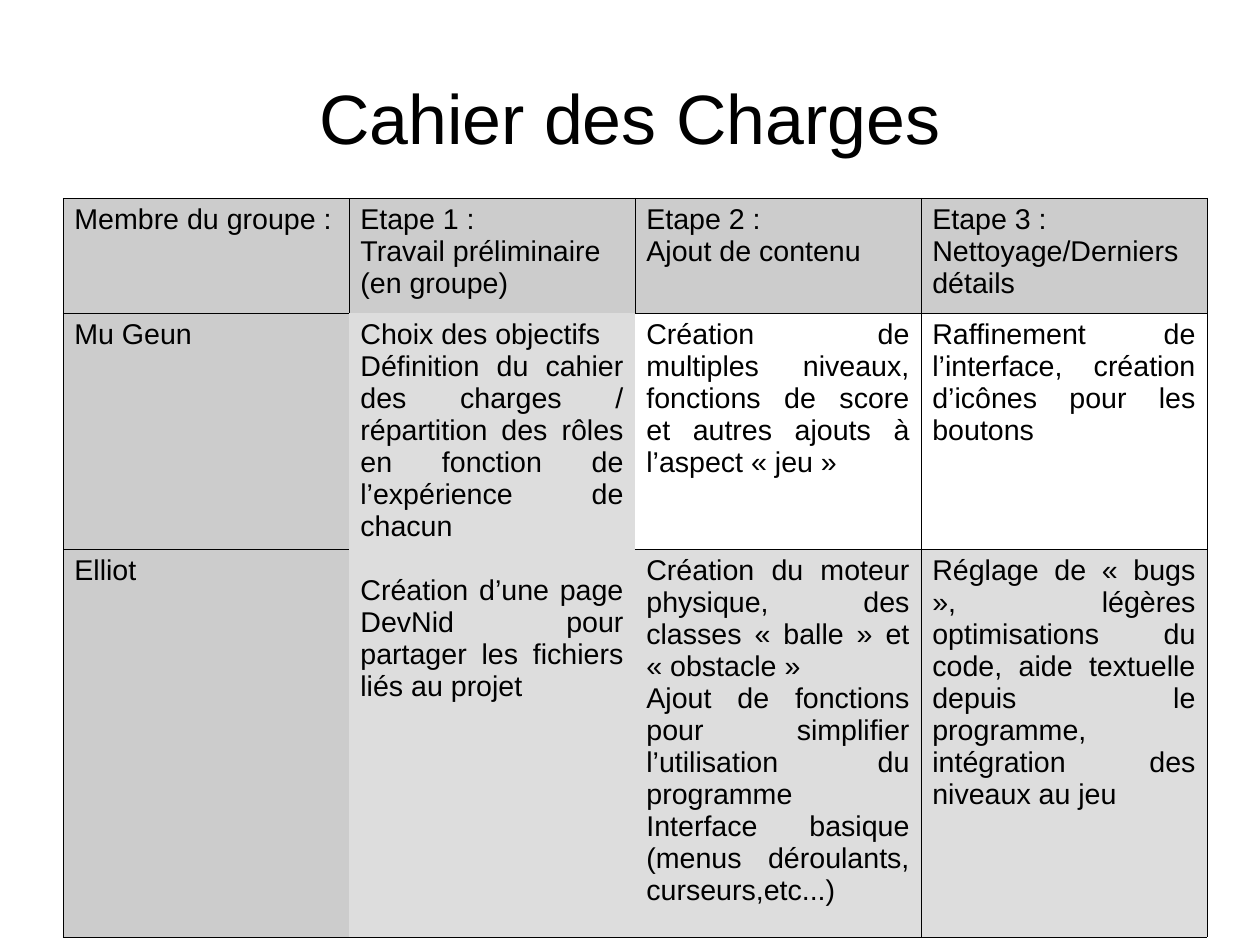
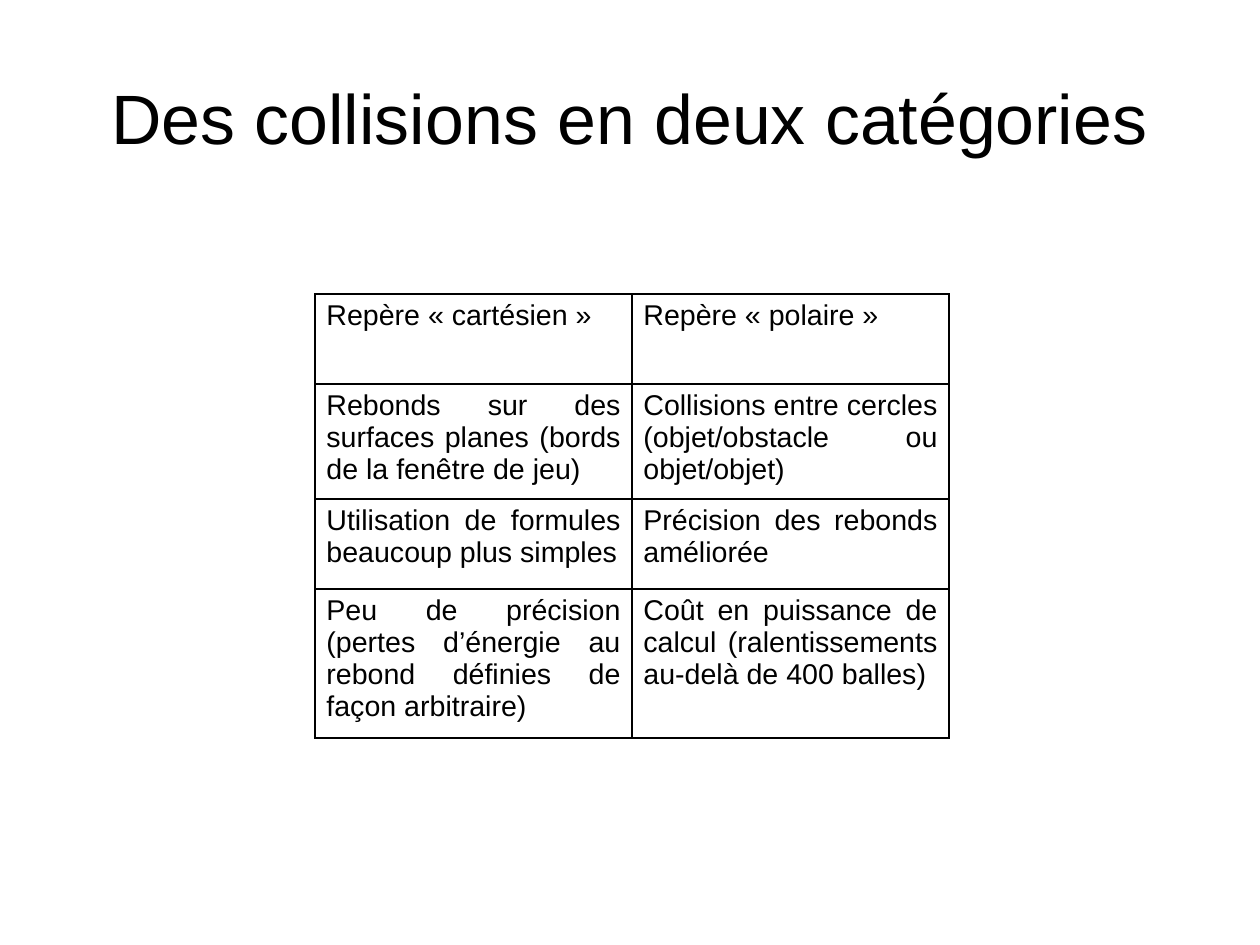
from lxml import etree
from pptx import Presentation
from pptx.dml.color import RGBColor
from pptx.enum.text import MSO_ANCHOR, MSO_AUTO_SIZE, PP_ALIGN
from pptx.oxml.ns import qn
from pptx.util import Emu, Pt

CENTER, JUSTIFY = PP_ALIGN.CENTER, PP_ALIGN.JUSTIFY
MIDDLE = MSO_ANCHOR.MIDDLE
NO_AUTOFIT = MSO_AUTO_SIZE.NONE
COLORS = {"ink": "000000", "label": "CCCCCC", "shade": "DDDDDD", "plain": "FFFFFF"}
TITLE_ONLY = 5


def px(length):
    return Emu(length * 8000)


class SlideBuilder:
    font = "Arial"
    title_size = 44
    body_size = 18
    block_gap = 20

    def __init__(self, deck):
        self.deck = deck
        self.slide = None

    def style(self, para, size, align):
        para.alignment = align
        para.font.name = self.font
        para.font.size = Pt(size)
        para.font.color.rgb = RGBColor.from_string(COLORS["ink"])

    def start(self, title):
        self.slide = self.deck.slides.add_slide(self.deck.slide_layouts[TITLE_ONLY])
        box = self.slide.shapes.title
        box.left, box.top, box.width, box.height = map(px, (63, 38, 1134, 158))
        frame = box.text_frame
        frame.margin_left = frame.margin_right = frame.margin_top = frame.margin_bottom = 0
        frame.vertical_anchor = MIDDLE
        frame.auto_size = NO_AUTOFIT
        frame.word_wrap = True
        frame.text = title
        self.style(frame.paragraphs[0], self.title_size, CENTER)

    def table(self, left, top, column_width, heights, texts, line_width):
        count = len(texts[0])
        frame = self.slide.shapes.add_table(
            len(heights), count, px(left), px(top),
            px(column_width * count), px(sum(heights)))
        table = frame.table
        table.first_row = table.horz_banding = False
        for column in table.columns:
            column.width = px(column_width)
        for row, height, row_texts in zip(table.rows, heights, texts):
            row.height = px(height)
            for cell, text in zip(row.cells, row_texts):
                self.cell_text(cell, text)
                self.borders(cell, "LRTB", line_width)
                self.fill(cell, "plain")
        return table

    def cell_text(self, cell, text):
        frame = cell.text_frame
        para = frame.paragraphs[0]
        for block_number, block in enumerate(text.split("\n\n")):
            for line_number, line in enumerate(block.split("\n")):
                if block_number or line_number:
                    para = frame.add_paragraph()
                if block_number and not line_number:
                    para.space_before = Pt(self.block_gap)
                para.text = line
                self.style(para, self.body_size, JUSTIFY)

    def fill(self, cell, color):
        cell.fill.solid()
        cell.fill.fore_color.rgb = RGBColor.from_string(COLORS[color])

    def borders(self, cell, sides, width):
        properties = cell._tc.get_or_add_tcPr()
        for old in properties.xpath("a:lnL|a:lnR|a:lnT|a:lnB"):
            properties.remove(old)
        for position, side in enumerate("LRTB"):
            line = etree.Element(qn("a:ln" + side), w=str(int(Pt(width))))
            if side in sides:
                paint = etree.SubElement(line, qn("a:solidFill"))
                etree.SubElement(paint, qn("a:srgbClr"), val=COLORS["ink"])
            else:
                etree.SubElement(line, qn("a:noFill"))
            properties.insert(position, line)


TASKS = [
    ["Membre du groupe :",
     "Etape 1 :\nTravail préliminaire\n(en groupe)",
     "Etape 2 :\nAjout de contenu",
     "Etape 3 :\nNettoyage/Derniers détails"],
    ["Mu Geun",
     "Choix des objectifs\nDéfinition du cahier des charges / répartition des rôles "
     "en fonction de l’expérience de chacun\n\n"
     "Création d’une page DevNid pour partager les fichiers liés au projet",
     "Création de multiples niveaux, fonctions de score et autres ajouts "
     "à l’aspect « jeu »",
     "Raffinement de l’interface, création d’icônes pour les boutons"],
    ["Elliot",
     "",
     "Création du moteur physique, des classes « balle » et « obstacle »\n"
     "Ajout de fonctions pour simplifier l’utilisation du programme\n"
     "Interface basique (menus déroulants, curseurs,etc...)",
     "Réglage de « bugs », légères optimisations du code, aide textuelle "
     "depuis le programme, intégration des niveaux au jeu"],
]
COLLISIONS = [
    ["Repère « cartésien »", "Repère « polaire »"],
    ["Rebonds sur des surfaces planes (bords de la fenêtre de jeu)",
     "Collisions entre cercles (objet/obstacle ou objet/objet)"],
    ["Utilisation de formules beaucoup plus simples",
     "Précision des rebonds améliorée"],
    ["Peu de précision (pertes d’énergie au rebond définies de façon arbitraire)",
     "Coût en puissance de calcul (ralentissements au-delà de 400 balles)"],
]
TASK_FILLS = [
    ["label"] * 4,
    ["label", "shade", "plain", "plain"],
    ["label", "shade", "shade", "shade"],
]
OPEN_BORDERS = {
    (0, 1): "LRT",
    (1, 0): "LTB", (1, 1): "B", (1, 2): "RTB",
    (2, 0): "LTB", (2, 1): "B", (2, 2): "RTB",
}


def tasks_slide(builder):
    builder.start("Cahier des Charges")
    line_width = 0.28
    table = builder.table(63, 198, 286, [115, 236, 388], TASKS, line_width)
    for row, colors in enumerate(TASK_FILLS):
        for column, color in enumerate(colors):
            builder.fill(table.cell(row, column), color)
    for (row, column), sides in OPEN_BORDERS.items():
        builder.borders(table.cell(row, column), sides, line_width)
    table.cell(1, 1).merge(table.cell(2, 1))


def collisions_slide(builder):
    builder.start("Des collisions en deux catégories")
    builder.table(315, 294, 317, [90, 115, 90, 149], COLLISIONS, 1.13)


def main():
    deck = Presentation()
    deck.slide_width, deck.slide_height = px(1260), px(945)
    builder = SlideBuilder(deck)
    tasks_slide(builder)
    collisions_slide(builder)
    deck.save("out.pptx")


if __name__ == "__main__":
    main()
